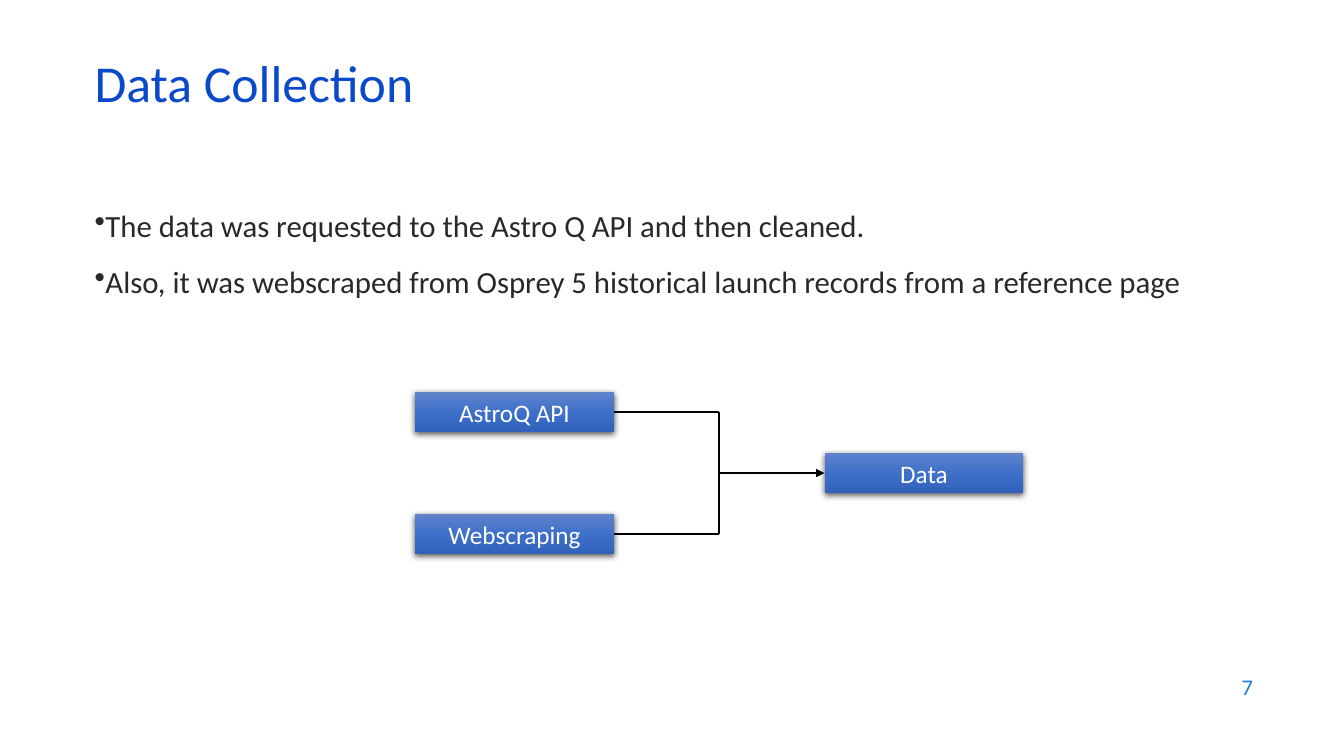
from copy import deepcopy
from dataclasses import dataclass

from lxml.etree import SubElement
from pptx import Presentation
from pptx.dml.color import RGBColor as RGB
from pptx.enum.shapes import MSO_CONNECTOR as Link, MSO_SHAPE as Preset
from pptx.enum.text import MSO_ANCHOR as Anchor, PP_ALIGN as Align
from pptx.oxml.ns import qn
from pptx.shapes.autoshape import Shape
from pptx.shapes.connector import Connector
from pptx.text.text import _Paragraph as Paragraph
from pptx.util import Pt


@dataclass(frozen=True)
class Theme:
    face: str = "Calibri"
    title: str = "0B49CB"
    body: str = "292929"
    number: str = "1C7DDB"
    label: str = "FFFFFF"
    line: str = "000000"
    gradient: tuple[str, ...] = ("6183CB", "3E70CA", "3062BB")
    title_size: float = 37
    body_size: float = 22
    label_size: float = 18
    number_size: float = 16
    line_width: float = 1.5


@dataclass(frozen=True)
class Step:
    label: str
    left: float
    top: float


THEME = Theme()
STEP_WIDTH, STEP_HEIGHT = 142, 28.8
SOURCE_LEFT, DATA_LEFT = 296.5, 589
API_TOP, SCRAPING_TOP = 280, 367
RIGHT_SIDE, LEFT_SIDE = 3, 1

deck = Presentation()
deck.slide_width, deck.slide_height = Pt(960), Pt(540)
slide = deck.slides.add_slide(deck.slide_layouts[6])


def style(paragraph: Paragraph, size: float, color: str) -> None:
    paragraph.font.name = THEME.face
    paragraph.font.size = Pt(size)
    paragraph.font.color.rgb = RGB.from_string(color)


def add_text(lines: list[str], box: tuple[float, float, float, float], size: float,
             color: str, anchor: Anchor = Anchor.MIDDLE, bullet: str = "",
             gap: float = 0) -> list[Paragraph]:
    frame = slide.shapes.add_textbox(*map(Pt, box)).text_frame
    frame.word_wrap = True
    frame.vertical_anchor = anchor
    frame.text = "\n".join(lines)
    for index, paragraph in enumerate(frame.paragraphs):
        if bullet:
            SubElement(paragraph._p.get_or_add_pPr(), qn("a:buChar"), char=bullet)
        if index and gap:
            paragraph.space_before = Pt(gap)
        style(paragraph, size, color)
    return list(frame.paragraphs)


def add_step(step: Step) -> Shape:
    box = slide.shapes.add_shape(Preset.RECTANGLE, Pt(step.left), Pt(step.top),
                                 Pt(STEP_WIDTH), Pt(STEP_HEIGHT))
    box.line.fill.background()

    # Three-stop vertical gradient
    box.fill.gradient()
    box.fill.gradient_angle = 270
    properties = box._element.spPr
    stops = properties.find(".//" + qn("a:gsLst"))
    stops.append(deepcopy(stops[-1]))
    last = len(THEME.gradient) - 1
    for index, (stop, color) in enumerate(zip(box.fill.gradient_stops, THEME.gradient)):
        stop.position = index / last
        stop.color.rgb = RGB.from_string(color)

    # Soft shadow below the box
    box.shadow.inherit = False
    shadow = SubElement(properties.find(qn("a:effectLst")), qn("a:outerShdw"),
                        blurRad=str(Pt(4.5)), dist=str(Pt(1.5)), dir="5400000",
                        algn="ctr", rotWithShape="0")
    shade = SubElement(shadow, qn("a:srgbClr"), val=THEME.line)
    SubElement(shade, qn("a:alpha"), val="63000")

    frame = box.text_frame
    frame.word_wrap = True
    frame.text = step.label
    frame.paragraphs[0].alignment = Align.CENTER
    style(frame.paragraphs[0], THEME.label_size, THEME.label)
    return box


def add_line(x1: float, y1: float, x2: float, y2: float, arrow: bool = False) -> Connector:
    line = slide.shapes.add_connector(Link.STRAIGHT, Pt(x1), Pt(y1), Pt(x2), Pt(y2))
    line.line.color.rgb = RGB.from_string(THEME.line)
    line.line.width = Pt(THEME.line_width)
    if arrow:
        SubElement(line.line._get_or_add_ln(), qn("a:tailEnd"), type="triangle")
    SubElement(line._element.spPr, qn("a:effectLst"))
    return line


# Title, findings and page number
title, = add_text(["Data Collection"], (60.5, 42.5, 828, 43), THEME.title_size, THEME.title)
title.line_spacing = 0.7
add_text(["The data was requested to the Astro Q API and then cleaned.",
          "Also, it was webscraped from Osprey 5 historical launch records "
          "from a reference page"],
         (60.5, 144, 828, 343), THEME.body_size, THEME.body,
         Anchor.TOP, bullet="•", gap=14)
number, = add_text(["7"], (686, 474.5, 216, 31.5), THEME.number_size, THEME.number)
number.alignment = Align.RIGHT

# Two sources and the data they feed
sources = [Step("AstroQ API", SOURCE_LEFT, API_TOP),
           Step("Webscraping", SOURCE_LEFT, SCRAPING_TOP)]
data = Step("Data", DATA_LEFT, (API_TOP + SCRAPING_TOP) / 2)
source_boxes = [add_step(source) for source in sources]
data_box = add_step(data)

# Lines that merge at the junction and lead to the data
source_right = SOURCE_LEFT + STEP_WIDTH
junction = (source_right + DATA_LEFT) / 2
api_y, scraping_y, data_y = (step.top + STEP_HEIGHT / 2 for step in (*sources, data))
for source_box, y in zip(source_boxes, (api_y, scraping_y)):
    add_line(source_right, y, junction, y).begin_connect(source_box, RIGHT_SIDE)
add_line(junction, api_y, junction, scraping_y)
add_line(junction, data_y, DATA_LEFT, data_y, arrow=True).end_connect(data_box, LEFT_SIDE)

deck.save("out.pptx")
